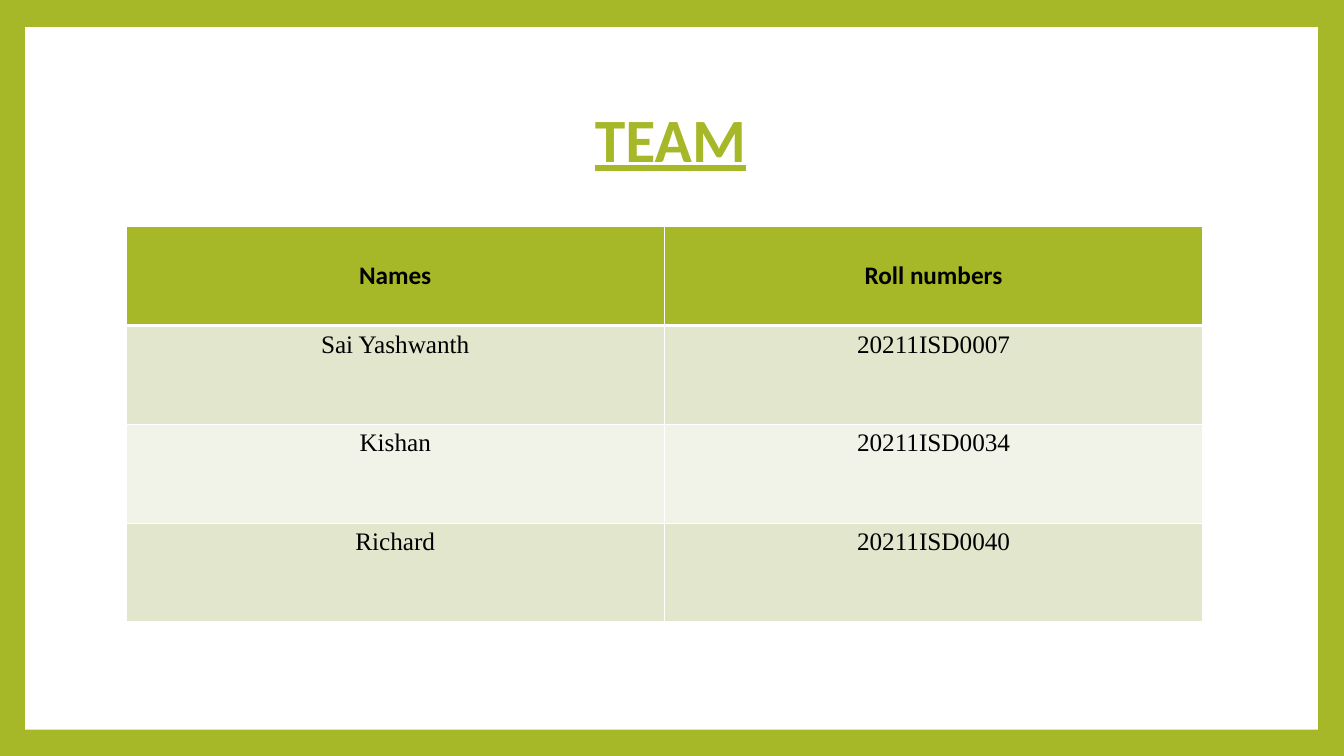
from lxml.etree import SubElement
from pptx import Presentation
from pptx.dml.color import RGBColor
from pptx.enum.shapes import MSO_SHAPE
from pptx.enum.text import MSO_ANCHOR, PP_ALIGN
from pptx.oxml.ns import qn
from pptx.util import Inches, Pt

COLORS = {
    "green": "A6B727",
    "white": "FFFFFF",
    "black": "000000",
    "dark_band": "E1E6CD",
    "light_band": "F1F3E8",
}
TEAM = [
    ("Names", "Roll numbers"),
    ("Sai Yashwanth", "20211ISD0007"),
    ("Kishan", "20211ISD0034"),
    ("Richard", "20211ISD0040"),
]


def add_centred_run(paragraph, text, font_name, size, color, bold):
    paragraph.alignment = PP_ALIGN.CENTER
    run = paragraph.add_run()
    run.text = text
    run.font.name = font_name
    run.font.size = Pt(size)
    run.font.bold = bold
    run.font.color.rgb = RGBColor.from_string(COLORS[color])
    return run


def add_border(cell, side, width):
    line = SubElement(cell._tc.get_or_add_tcPr(), qn(f"a:{side}"), w=str(Pt(width)))
    fill = SubElement(line, qn("a:solidFill"))
    SubElement(fill, qn("a:srgbClr"), val=COLORS["white"])


prs = Presentation()
prs.slide_width = Inches(13.33)
prs.slide_height = Inches(7.5)
slide = prs.slides.add_slide(prs.slide_layouts[5])
slide.background.fill.solid()
slide.background.fill.fore_color.rgb = RGBColor.from_string(COLORS["green"])

panel = slide.shapes.add_shape(
    MSO_SHAPE.RECTANGLE, Inches(0.25), Inches(0.27), Inches(12.82), Inches(6.97)
)
panel.shadow.inherit = False
panel.fill.solid()
panel.fill.fore_color.rgb = RGBColor.from_string(COLORS["white"])
panel.line.fill.background()

title = slide.shapes.title
title.element.addprevious(panel.element)
title.left, title.top = Inches(1.25), Inches(0.67)
title.width, title.height = Inches(10.8), Inches(1.48)
title.text_frame.vertical_anchor = MSO_ANCHOR.MIDDLE
heading = title.text_frame.paragraphs[0]
heading.line_spacing = 0.9
add_centred_run(heading, "TEAM", "Calibri", 44, "green", True).font.underline = True

roster = slide.shapes.add_table(
    len(TEAM), 2, Inches(1.25), Inches(2.25), Inches(10.68), Inches(3.92)
).table

for row_index, member in enumerate(TEAM):
    is_header = row_index == 0
    if is_header:
        band, font_name = "green", "Calibri"
    else:
        band = "dark_band" if row_index % 2 else "light_band"
        font_name = "Times New Roman"
    for column_index, text in enumerate(member):
        cell = roster.cell(row_index, column_index)
        add_border(cell, "lnL", 1)
        add_border(cell, "lnR", 1)
        add_border(cell, "lnT", 3 if row_index == 1 else 1)
        add_border(cell, "lnB", 3 if is_header else 1)
        cell.fill.solid()
        cell.fill.fore_color.rgb = RGBColor.from_string(COLORS[band])
        cell.vertical_anchor = MSO_ANCHOR.MIDDLE if is_header else MSO_ANCHOR.TOP
        add_centred_run(
            cell.text_frame.paragraphs[0], text, font_name, 18, "black", is_header
        )

prs.save("out.pptx")
